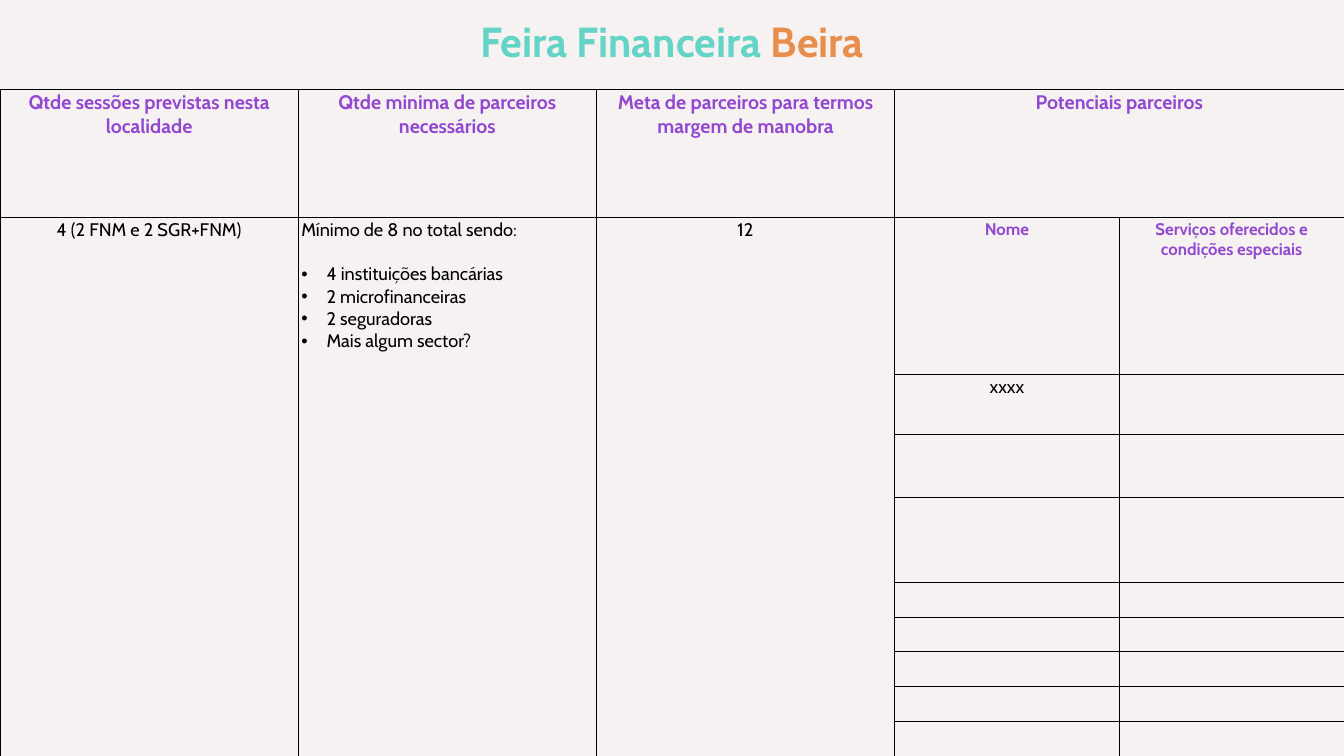
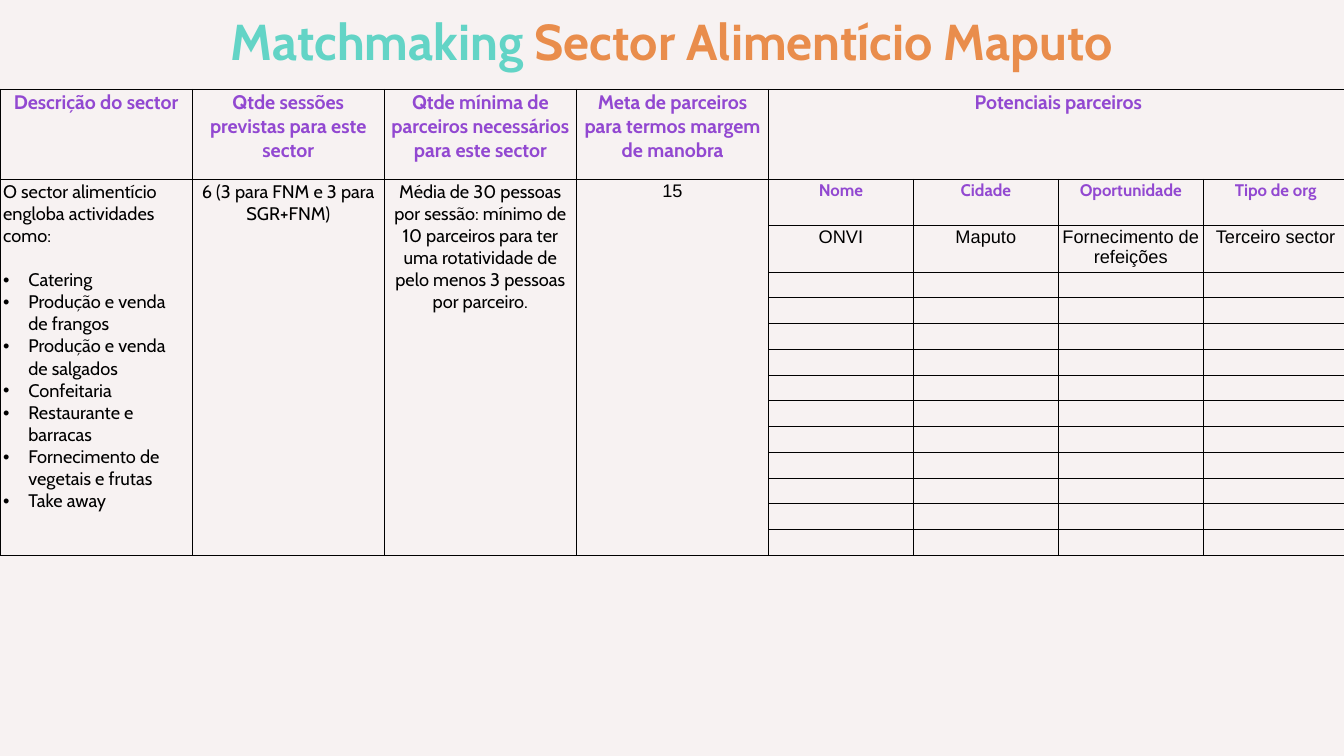
from dataclasses import dataclass

from lxml import etree
from pptx import Presentation
from pptx.dml.color import RGBColor
from pptx.enum.text import MSO_ANCHOR, PP_ALIGN
from pptx.oxml.ns import qn
from pptx.util import Pt

CENTER, LEFT = PP_ALIGN.CENTER, PP_ALIGN.LEFT
MIDDLE = MSO_ANCHOR.MIDDLE


@dataclass(frozen=True)
class Theme:
    """Colours, fonts and sizes in points shared by the slides."""
    paper: str = "F7F2F2"
    teal: str = "63D4C6"
    orange: str = "E98D4C"
    purple: str = "9248D1"
    black: str = "000000"
    font: str = "Cabin"
    plain: str = "Arial"
    head: int = 28
    sub: int = 24
    body: int = 26
    width: int = 1920
    height: int = 1080
    band: float = 116.5
    top: float = 127.5
    pad: float = 4.5
    indent: int = 36
    gap: float = 31.5


T = Theme()
HEAD = {"size": T.head, "color": T.purple, "bold": True}
SUB = {**HEAD, "size": T.sub}
PLAIN = {"font": T.plain}


def write(para, text, size=T.body, color=T.black, bold=False,
          font=T.font, align=CENTER):
    """Add a formatted run to a paragraph."""
    para.alignment = align
    run = para.add_run()
    run.text = text
    run.font.size = Pt(size)
    run.font.name = font
    run.font.bold = bold
    run.font.color.rgb = RGBColor.from_string(color)


def add_bullet(para):
    """Give a paragraph a hanging round bullet."""
    props = para._p.get_or_add_pPr()
    props.set("marL", str(Pt(T.indent)))
    props.set("indent", str(-Pt(T.indent)))
    etree.SubElement(props, qn("a:buFont"), typeface="Arial")
    etree.SubElement(props, qn("a:buChar"), char="•")


def write_list(cell, lead, items):
    """Write a lead line and, one line below it, a bulleted list."""
    frame = cell.text_frame
    write(frame.paragraphs[0], lead, align=LEFT)
    for i, item in enumerate(items):
        para = frame.add_paragraph()
        add_bullet(para)
        if i == 0:
            para.space_before = Pt(T.gap)
        write(para, item, align=LEFT)


def write_row(grid, row, start, texts, **fmt):
    """Write texts into neighbouring cells of one row."""
    for col, text in enumerate(texts, start):
        write(grid.cell(row, col).text_frame.paragraphs[0], text, **fmt)


def style_cell(cell):
    """Set padding, thin black borders and no fill."""
    cell.margin_left = cell.margin_right = Pt(T.pad)
    cell.margin_top = cell.margin_bottom = Pt(T.pad / 2)
    props = cell._tc.get_or_add_tcPr()
    for side in ("lnL", "lnR", "lnT", "lnB"):
        line = etree.SubElement(props, qn(f"a:{side}"), w=str(Pt(1)))
        fill = etree.SubElement(line, qn("a:solidFill"))
        etree.SubElement(fill, qn("a:srgbClr"), val=T.black)
    cell.fill.background()


def add_grid(slide, cols, rows, fixed):
    """Add a table whose first fixed columns merge below the header."""
    shape = slide.shapes.add_table(len(rows), len(cols), 0, Pt(T.top),
                                   Pt(sum(cols)), Pt(sum(rows)))
    grid = shape.table
    grid.first_row = grid.horz_banding = False
    for col, width in zip(grid.columns, cols):
        col.width = Pt(width)
    for row, height in zip(grid.rows, rows):
        row.height = Pt(height)
    for cell in grid.iter_cells():
        style_cell(cell)
    for col in range(fixed):
        grid.cell(1, col).merge(grid.cell(len(rows) - 1, col))
    grid.cell(0, fixed).merge(grid.cell(0, len(cols) - 1))
    return grid


def add_slide(deck, first, second, size):
    """Add a blank slide with a two-colour title."""
    slide = deck.slides.add_slide(deck.slide_layouts[6])
    slide.background.fill.solid()
    slide.background.fill.fore_color.rgb = RGBColor.from_string(T.paper)
    frame = slide.shapes.add_textbox(0, 0, Pt(T.width), Pt(T.band)).text_frame
    frame.word_wrap = True
    frame.vertical_anchor = MIDDLE
    frame.margin_left = frame.margin_right = Pt(T.pad)
    frame.margin_top = frame.margin_bottom = Pt(T.pad)
    para = frame.paragraphs[0]
    write(para, first, size=size, color=T.teal, bold=True)
    write(para, second, size=size, color=T.orange, bold=True)
    return slide


def add_fair(deck):
    """Build the slide on the finance fair."""
    slide = add_slide(deck, "Feira Financeira ", "Beira", 60)
    cols = [426] * 3 + [321] * 2
    rows = [183.5, 224, 85.5, 90, 121] + [49.7] * 5
    grid = add_grid(slide, cols, rows, 3)
    write_row(grid, 0, 0, [
        "Qtde sessões previstas nesta localidade",
        "Qtde minima de parceiros necessários",
        "Meta de parceiros para termos margem de manobra",
        "Potenciais parceiros"], **HEAD)
    write_row(grid, 1, 0, ["4 (2 FNM e 2 SGR+FNM)"])
    write_list(grid.cell(1, 1), "Mínimo de 8 no total sendo:", [
        "4 instituições bancárias", "2 microfinanceiras",
        "2 seguradoras", "Mais algum sector?"])
    write_row(grid, 1, 2, ["12"])
    write_row(grid, 1, 3, [
        "Nome", "Serviços oferecidos e condições especiais"], **SUB)
    write_row(grid, 2, 3, ["xxxx"])


def add_match(deck):
    """Build the slide on food sector matchmaking."""
    slide = add_slide(deck, "Matchmaking ", "Sector Alimentício Maputo", 72)
    cols = [274.5] * 4 + [207] * 4
    rows = [128.5, 65.5, 64.5] + [36.8] * 11
    grid = add_grid(slide, cols, rows, 4)
    write_row(grid, 0, 0, [
        "Descrição do sector",
        "Qtde sessões previstas para este sector",
        "Qtde mínima de parceiros necessários para este sector",
        "Meta de parceiros para termos margem de manobra",
        "Potenciais parceiros"], **HEAD)
    write_list(grid.cell(1, 0),
               "O sector alimentício engloba actividades como:", [
                   "Catering", "Produção e venda de frangos",
                   "Produção e venda de salgados", "Confeitaria",
                   "Restaurante e barracas",
                   "Fornecimento de vegetais e frutas", "Take away"])
    write_row(grid, 1, 1, [
        "6 (3 para FNM e 3 para SGR+FNM)",
        "Média de 30 pessoas por sessão: mínimo de 10 parceiros para ter "
        "uma rotatividade de pelo menos 3 pessoas por parceiro."])
    write_row(grid, 1, 3, ["15"], **PLAIN)
    write_row(grid, 1, 4, [
        "Nome", "Cidade", "Oportunidade", "Tipo de org"], **SUB)
    write_row(grid, 2, 4, [
        "ONVI", "Maputo", "Fornecimento de refeições",
        "Terceiro sector"], **PLAIN)


def main():
    """Build and save the deck."""
    deck = Presentation()
    deck.slide_width = Pt(T.width)
    deck.slide_height = Pt(T.height)
    add_fair(deck)
    add_match(deck)
    deck.save("out.pptx")


if __name__ == "__main__":
    main()
